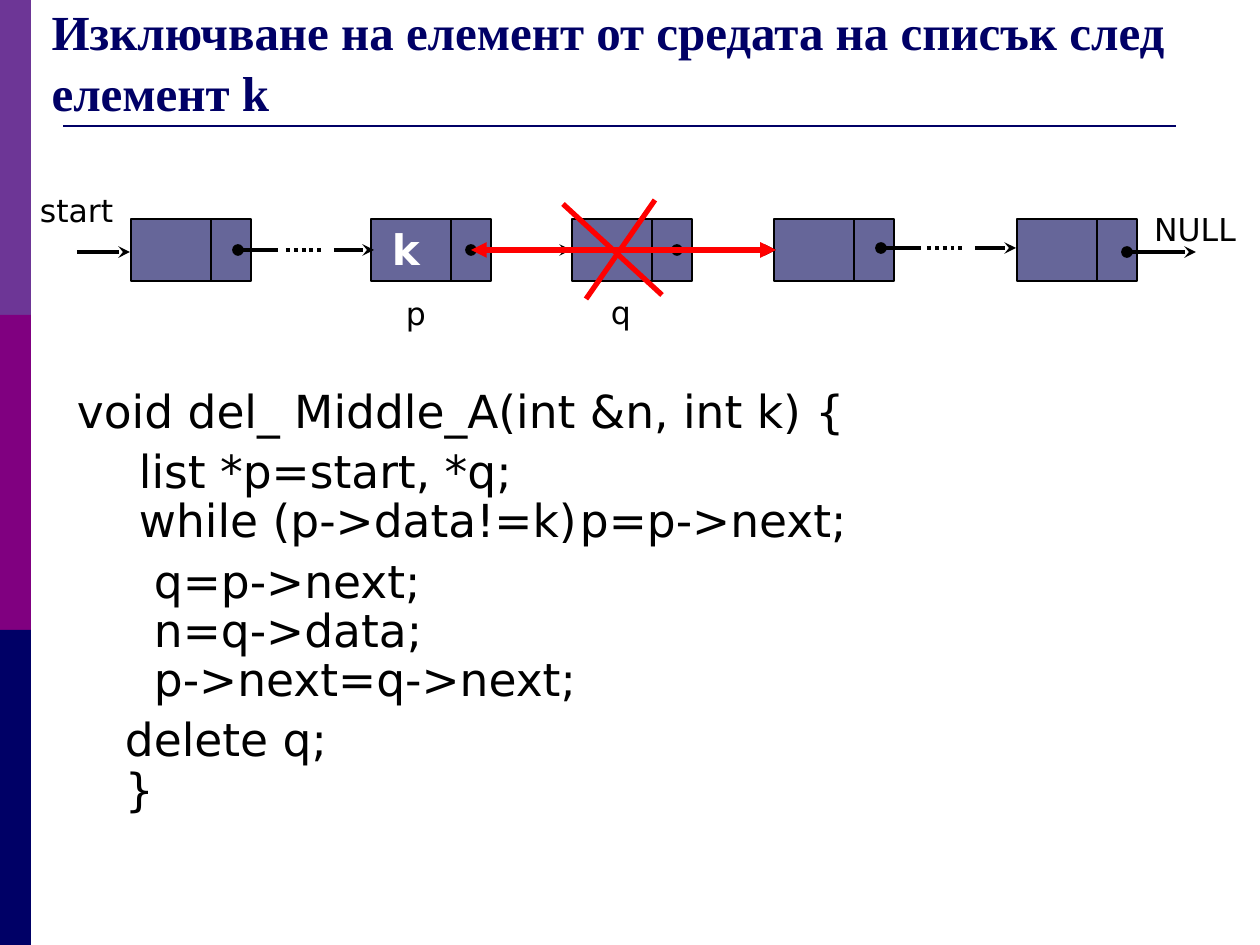
from dataclasses import dataclass
from typing import NamedTuple, Optional

from pptx import Presentation
from pptx.dml.color import RGBColor
from pptx.enum.dml import MSO_LINE
from pptx.enum.shapes import MSO_CONNECTOR, MSO_SHAPE
from pptx.enum.text import MSO_ANCHOR, MSO_AUTO_SIZE, PP_ALIGN
from pptx.oxml.ns import qn
from pptx.util import Emu, Pt
from lxml.etree import SubElement


@dataclass(frozen=True)
class Theme:
    navy: str = "000066"
    violet: str = "6D3696"
    purple: str = "800080"
    node: str = "666699"
    ink: str = "000000"
    red: str = "FF0000"
    white: str = "FFFFFF"
    title_font: str = "Times New Roman"
    body_font: str = "DejaVu Sans"
    title_size: int = 28
    code_size: int = 26
    key_size: int = 24
    label_size: int = 18


class Box(NamedTuple):
    left: int
    top: int
    width: int
    height: int


class Link(NamedTuple):
    x1: int
    y1: int
    x2: int
    y2: int
    head: Optional[str] = None
    tail: Optional[str] = None
    dotted: bool = False


class Label(NamedTuple):
    text: str
    box: Box
    align: PP_ALIGN = PP_ALIGN.LEFT


class CodeLine(NamedTuple):
    text: str
    indent: int
    before: float = 0


THEME = Theme()
NODE_TOP, NODE_HEIGHT, DATA_WIDTH, POINTER_WIDTH = 219, 62, 80, 40
NODE_LEFTS = (131, 371, 572, 774, 1017)
CODE_TAB = 559

LINKS = (
    Link(77, 252, 130, 252, tail="stealth"),
    Link(238, 250, 278, 250, head="oval"),
    Link(286, 250, 324, 250, dotted=True),
    Link(334, 250, 374, 250, tail="stealth"),
    Link(471, 250, 571, 250, head="oval", tail="stealth"),
    Link(677, 250, 776, 250, head="oval", tail="stealth"),
    Link(881, 248, 921, 248, head="oval"),
    Link(927, 248, 965, 248, dotted=True),
    Link(975, 248, 1016, 248, tail="stealth"),
    Link(1127, 252, 1196, 252, head="oval", tail="stealth"),
)
CROSS = (Link(655, 200, 586, 299), Link(563, 204, 662, 295))
BYPASS = Link(471, 250, 776, 250, head="triangle", tail="triangle")

LABELS = (
    Label("start", Box(35, 189, 124, 45)),
    Label("NULL", Box(1130, 208, 130, 50), PP_ALIGN.CENTER),
    Label("p", Box(401, 292, 37, 50)),
    Label("q", Box(606, 291, 38, 50)),
)
CODE = (
    CodeLine("void del_ Middle_A(int &n, int k) {", 0, 6.5),
    CodeLine("list *p=start, *q;", 62, 6.5),
    CodeLine("while (p->data!=k)\tp=p->next;", 62),
    CodeLine("q=p->next;", 77, 6.5),
    CodeLine("n=q->data;", 77),
    CodeLine("p->next=q->next;", 77),
    CodeLine("delete q;", 48, 6.5),
    CodeLine("}", 48),
)


def px(length: int) -> Emu:
    return Emu(round(length * 914400 / 126))


def rgb(color: str) -> RGBColor:
    return RGBColor.from_string(color)


def place(shape, box: Box) -> None:
    shape.left, shape.top, shape.width, shape.height = map(px, box)


def write(paragraph, text: str, *, size: int, font: str = THEME.body_font,
          color: str = THEME.ink, bold: bool = False, align=PP_ALIGN.LEFT,
          spacing: float = 1.0, before: float = 0) -> None:
    paragraph.alignment = align
    paragraph.line_spacing = spacing
    paragraph.space_before = Pt(before)
    run = paragraph.add_run()
    run.text = text
    run.font.size, run.font.name, run.font.bold = Pt(size), font, bold
    run.font.color.rgb = rgb(color)


def frame_box(shapes, box: Box, inset_x: int = 5, inset_y: int = 2):
    frame = shapes.add_textbox(*map(px, box)).text_frame
    frame.word_wrap = True
    frame.margin_left = frame.margin_right = px(inset_x)
    frame.margin_top = frame.margin_bottom = px(inset_y)
    return frame


def draw_rect(shapes, box: Box, fill: str, outlined: bool = False) -> None:
    rect = shapes.add_shape(MSO_SHAPE.RECTANGLE, *map(px, box))
    rect.shadow.inherit = False
    rect.fill.solid()
    rect.fill.fore_color.rgb = rgb(fill)
    if outlined:
        rect.line.color.rgb = rgb(THEME.ink)
        rect.line.width = Pt(1)
    else:
        rect.line.fill.background()


def draw_link(shapes, link: Link, color: str, width: float) -> None:
    connector = shapes.add_connector(
        MSO_CONNECTOR.STRAIGHT, *map(px, (link.x1, link.y1, link.x2, link.y2)))
    connector.line.color.rgb = rgb(color)
    connector.line.width = Pt(width)
    if link.dotted:
        connector.line.dash_style = MSO_LINE.ROUND_DOT
    outline = connector.line._get_or_add_ln()
    for tag, kind in (("a:headEnd", link.head), ("a:tailEnd", link.tail)):
        if kind:
            SubElement(outline, qn(tag), type=kind)
    SubElement(connector._element.spPr, qn("a:effectLst"))


def draw_node(shapes, left: int) -> None:
    cells = shapes.add_group_shape().shapes
    for x, width in ((left, DATA_WIDTH), (left + DATA_WIDTH, POINTER_WIDTH)):
        draw_rect(cells, Box(x, NODE_TOP, width, NODE_HEIGHT), THEME.node, True)


def draw_code(shapes) -> None:
    frame = frame_box(shapes, Box(64, 383, 1134, 505), 13, 6)
    for number, line in enumerate(CODE):
        paragraph = frame.add_paragraph() if number else frame.paragraphs[0]
        write(paragraph, line.text, size=THEME.code_size, spacing=0.9,
              before=line.before)
        properties = paragraph._p.get_or_add_pPr()
        properties.set("marL", str(px(line.indent)))
        properties.set("indent", "0")
        if "\t" in line.text:
            tabs = SubElement(properties, qn("a:tabLst"))
            SubElement(tabs, qn("a:tab"), pos=str(px(CODE_TAB)), algn="l")


def main() -> None:
    deck = Presentation()
    deck.slide_width, deck.slide_height = px(1260), px(945)
    slide = deck.slides.add_slide(deck.slide_layouts[5])
    shapes = slide.shapes

    # Side bands and title rule
    for row, color in enumerate((THEME.violet, THEME.purple, THEME.navy)):
        draw_rect(shapes, Box(0, row * 315, 31, 315), color)
    draw_link(shapes, Link(63, 126, 1176, 126), THEME.navy, 1.5)

    # Title
    title = shapes.title
    place(title, Box(39, 40, 1221, 88))
    title.text_frame.auto_size = MSO_AUTO_SIZE.NONE
    title.text_frame.vertical_anchor = MSO_ANCHOR.BOTTOM
    write(title.text_frame.paragraphs[0],
          "Изключване на елемент от средата на списък след елемент k",
          size=THEME.title_size, font=THEME.title_font, color=THEME.navy,
          bold=True, spacing=1.05)

    # Linked list
    for left in NODE_LEFTS:
        draw_node(shapes, left)
    for link in LINKS:
        draw_link(shapes, link, THEME.ink, 2.25)
    for label in LABELS:
        write(frame_box(shapes, label.box).paragraphs[0], label.text,
              size=THEME.label_size, align=label.align)
    write(frame_box(shapes, Box(387, 222, 60, 65)).paragraphs[0], "k",
          size=THEME.key_size, color=THEME.white, bold=True)

    # Removed element and the new link past it
    cross = shapes.add_group_shape().shapes
    for stroke in CROSS:
        draw_link(cross, stroke, THEME.red, 3)
    draw_link(shapes, BYPASS, THEME.red, 3)

    # Code
    draw_code(shapes)
    deck.save("out.pptx")


if __name__ == "__main__":
    main()
